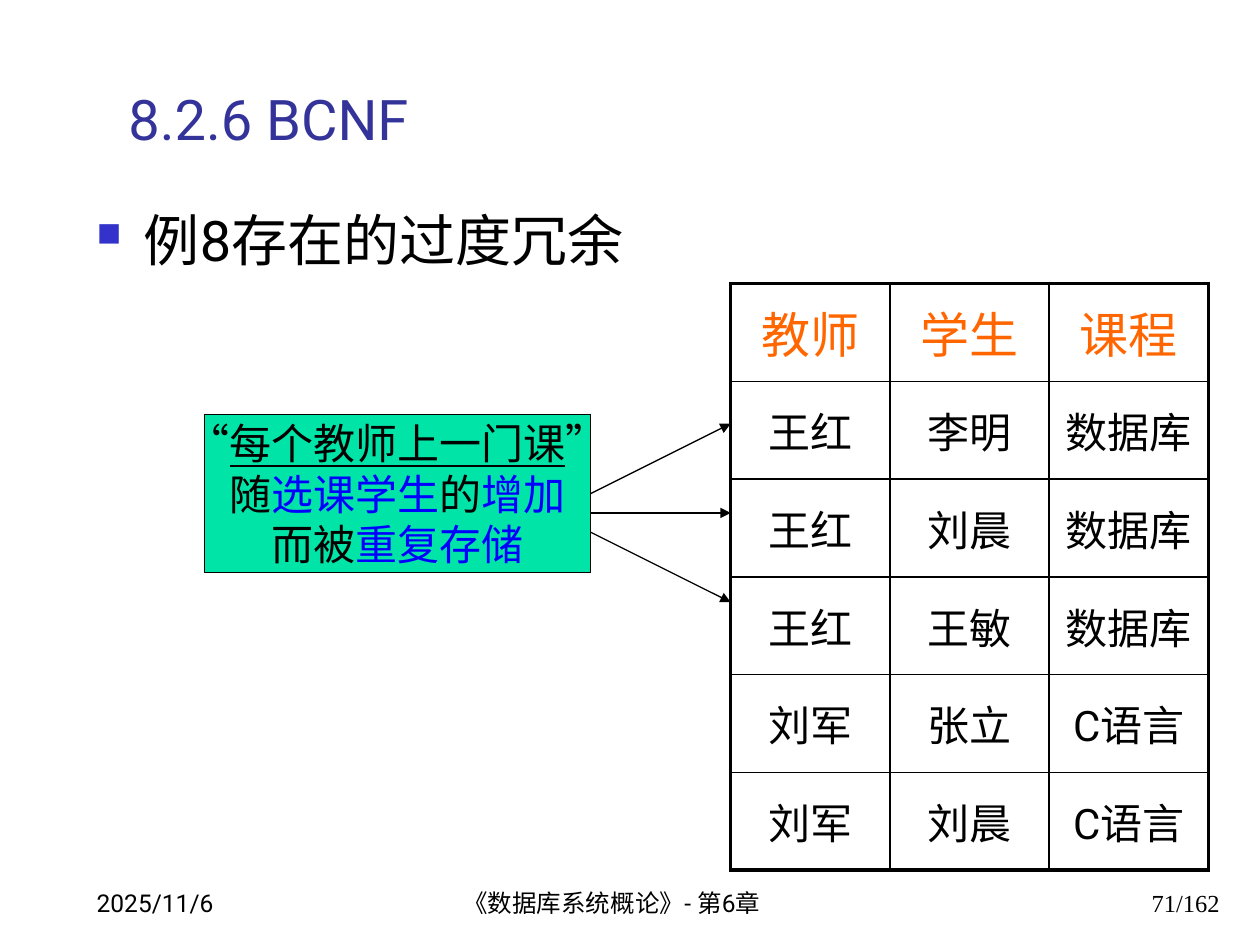
from dataclasses import dataclass

from lxml import etree
from pptx import Presentation
from pptx import util as u
from pptx.dml.color import RGBColor
from pptx.enum import shapes, text
from pptx.oxml import ns

BLACK, BLUE, ORANGE = "000000", "0000FF", "FF6600"
SANS, SERIF = "Roboto", "Times New Roman"
THIN, THICK = 1, 2.25
LEFT, CENTER, RIGHT = text.PP_ALIGN.LEFT, text.PP_ALIGN.CENTER, text.PP_ALIGN.RIGHT
BOTTOM, MIDDLE, TOP = (
    text.MSO_ANCHOR.BOTTOM, text.MSO_ANCHOR.MIDDLE, text.MSO_ANCHOR.TOP
)


@dataclass
class Label:
    words: str
    left: float
    top: float
    width: float
    height: float
    size: float = 14
    color: str = BLACK
    font: str = SANS
    align: text.PP_ALIGN = LEFT
    anchor: text.MSO_ANCHOR = BOTTOM
    bullet: bool = False


@dataclass
class Piece:
    words: str
    color: str = BLACK
    font: str = SANS
    underline: bool = False


@dataclass
class Arrow:
    start_y: float
    end_y: float


LABELS = [
    Label("2025/11/6", 1.7, 17.35, 5.28, 1.27),
    Label("8.2.6 BCNF", 2.34, 1.07, 22.5, 2.11, size=32, color="333399"),
    Label("例8存在的过度冗余", 1.7, 4.01, 23.19, 13, size=32, anchor=TOP, bullet=True),
    Label("《数据库系统概论》- 第6章", 9.09, 17.35, 8.05, 1.27),
    Label("71/162", 19.56, 17.35, 5.28, 1.27, font=SERIF, align=RIGHT),
]

NOTE = [
    [Piece("“", font=SERIF), Piece("每个教师上一门课", underline=True), Piece("”", font=SERIF)],
    [Piece("随"), Piece("选课学生", BLUE), Piece("的"), Piece("增加", BLUE)],
    [Piece("而被"), Piece("重复存储", BLUE)],
]

COURSES = [
    ("教师", "学生", "课程"),
    ("王红", "李明", "数据库"),
    ("王红", "刘晨", "数据库"),
    ("王红", "王敏", "数据库"),
    ("刘军", "张立", "C语言"),
    ("刘军", "刘晨", "C语言"),
]

NOTE_RIGHT, TABLE_LEFT, ARROW_CENTER = 11.91, 14.73, 10.34
ARROWS = [Arrow(ARROW_CENTER + 0.39 * step, ARROW_CENTER + 1.8 * step) for step in (-1, 0, 1)]


def rgb(color: str) -> RGBColor:
    return RGBColor.from_string(color)


def add_element(parent, tag: str, **attributes: str):
    return etree.SubElement(parent, ns.qn(tag), attributes)


def style_paragraph(paragraph, size: float, color: str, font: str, align) -> None:
    paragraph.alignment = align
    paragraph.font.size = u.Pt(size)
    paragraph.font.name = font
    paragraph.font.color.rgb = rgb(color)


def add_bullet(paragraph) -> None:
    properties = paragraph._p.get_or_add_pPr()
    indent = u.Cm(0.95)
    properties.set("marL", str(indent))
    properties.set("indent", str(-indent))
    add_element(add_element(properties, "a:buClr"), "a:srgbClr", val="3333CC")
    add_element(properties, "a:buSzPct", val="60000")
    add_element(properties, "a:buChar", char="■")


def add_label(slide, label: Label) -> None:
    box = slide.shapes.add_textbox(
        u.Cm(label.left), u.Cm(label.top), u.Cm(label.width), u.Cm(label.height)
    )
    frame = box.text_frame
    frame.word_wrap = True
    frame.vertical_anchor = label.anchor
    paragraph = frame.paragraphs[0]
    paragraph.text = label.words
    if label.bullet:
        add_bullet(paragraph)
    style_paragraph(paragraph, label.size, label.color, label.font, label.align)


def add_border(cell, side: str, width: float) -> None:
    border = add_element(
        cell._tc.get_or_add_tcPr(), f"a:ln{side}", w=str(u.Pt(width))
    )
    add_element(add_element(border, "a:solidFill"), "a:srgbClr", val=BLACK)


def add_course_table(slide) -> None:
    row_count, column_count = len(COURSES), len(COURSES[0])
    table = slide.shapes.add_table(
        row_count, column_count, u.Cm(TABLE_LEFT), u.Cm(5.72),
        u.Cm(3.21 * column_count), u.Cm(1.97 * row_count),
    ).table
    table.first_row = False
    table.horz_banding = False
    for row, values in enumerate(COURSES):
        for column, value in enumerate(values):
            cell = table.cell(row, column)
            outer_sides = {
                "L": column == 0,
                "R": column == column_count - 1,
                "T": row == 0,
                "B": row == row_count - 1,
            }
            for side, is_outer in outer_sides.items():
                add_border(cell, side, THICK if is_outer else THIN)
            cell.fill.background()
            cell.vertical_anchor = MIDDLE
            paragraph = cell.text_frame.paragraphs[0]
            paragraph.text = value
            size, color = (28, ORANGE) if row == 0 else (24, BLACK)
            style_paragraph(paragraph, size, color, SANS, CENTER)


def add_note(slide) -> None:
    left = 4.12
    shape = slide.shapes.add_shape(
        shapes.MSO_SHAPE.RECTANGLE,
        u.Cm(left), u.Cm(8.35), u.Cm(NOTE_RIGHT - left), u.Cm(3.2),
    )
    shape.shadow.inherit = False
    shape.fill.solid()
    shape.fill.fore_color.rgb = rgb("00E4A8")
    shape.line.color.rgb = rgb(BLACK)
    shape.line.width = u.Pt(0.75)
    frame = shape.text_frame
    frame.word_wrap = False
    frame.vertical_anchor = MIDDLE
    for index, pieces in enumerate(NOTE):
        paragraph = frame.add_paragraph() if index else frame.paragraphs[0]
        style_paragraph(paragraph, 24, BLACK, SANS, CENTER)
        for piece in pieces:
            run = paragraph.add_run()
            run.text = piece.words
            run.font.name = piece.font
            run.font.color.rgb = rgb(piece.color)
            run.font.underline = piece.underline


def add_arrow(slide, arrow: Arrow) -> None:
    connector = slide.shapes.add_connector(
        shapes.MSO_CONNECTOR.STRAIGHT,
        u.Cm(NOTE_RIGHT), u.Cm(arrow.start_y), u.Cm(TABLE_LEFT), u.Cm(arrow.end_y),
    )
    connector.line.color.rgb = rgb(BLACK)
    connector.line.width = u.Pt(0.75)
    add_element(connector.line._get_or_add_ln(), "a:tailEnd", type="triangle")
    add_element(connector._element.spPr, "a:effectLst")


def main() -> None:
    presentation = Presentation()
    presentation.slide_width = u.Cm(25.4)
    presentation.slide_height = u.Cm(19.05)
    slide = presentation.slides.add_slide(presentation.slide_layouts[6])
    for label in LABELS:
        add_label(slide, label)
    add_course_table(slide)
    add_note(slide)
    for arrow in ARROWS:
        add_arrow(slide, arrow)
    presentation.save("out.pptx")


if __name__ == "__main__":
    main()
